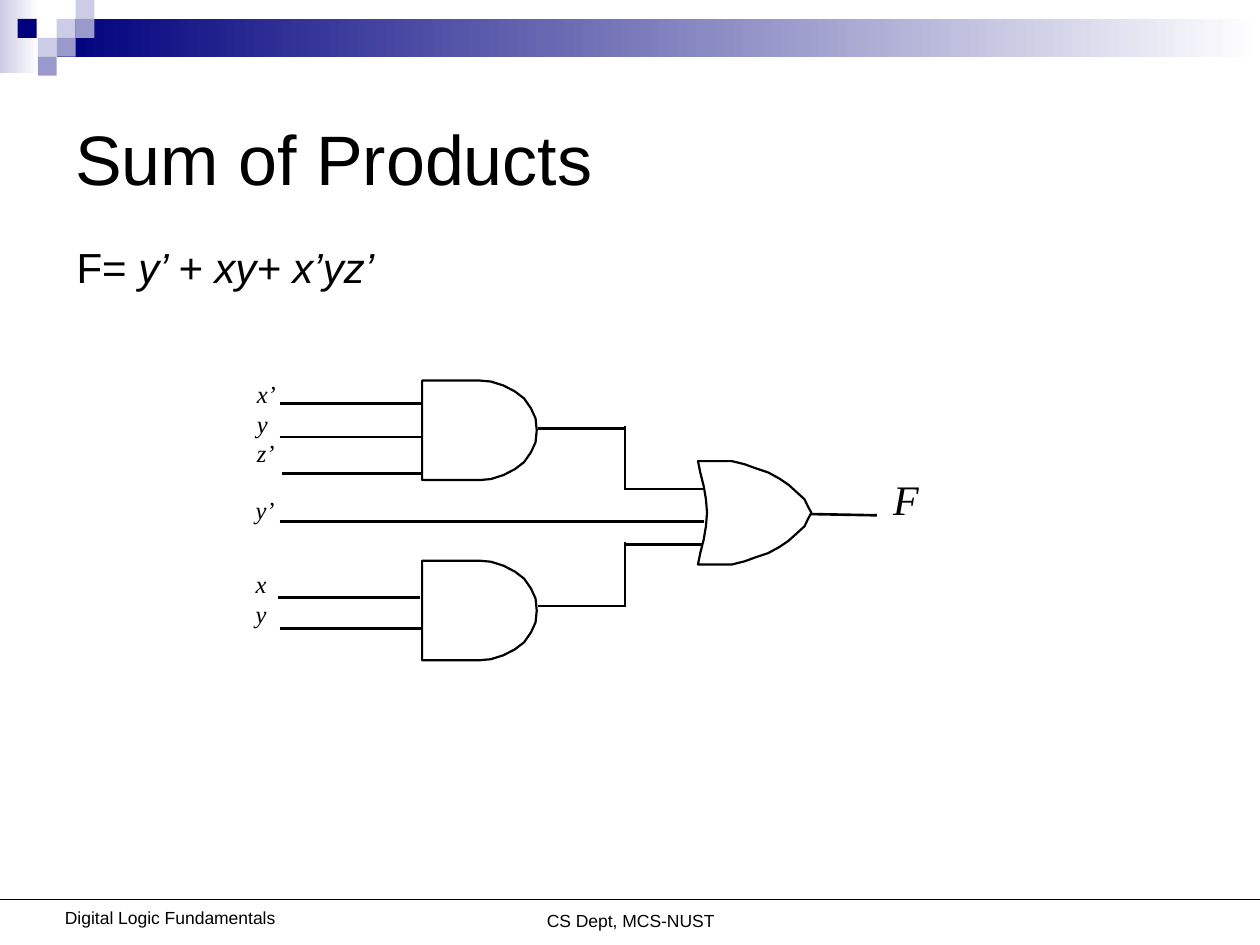
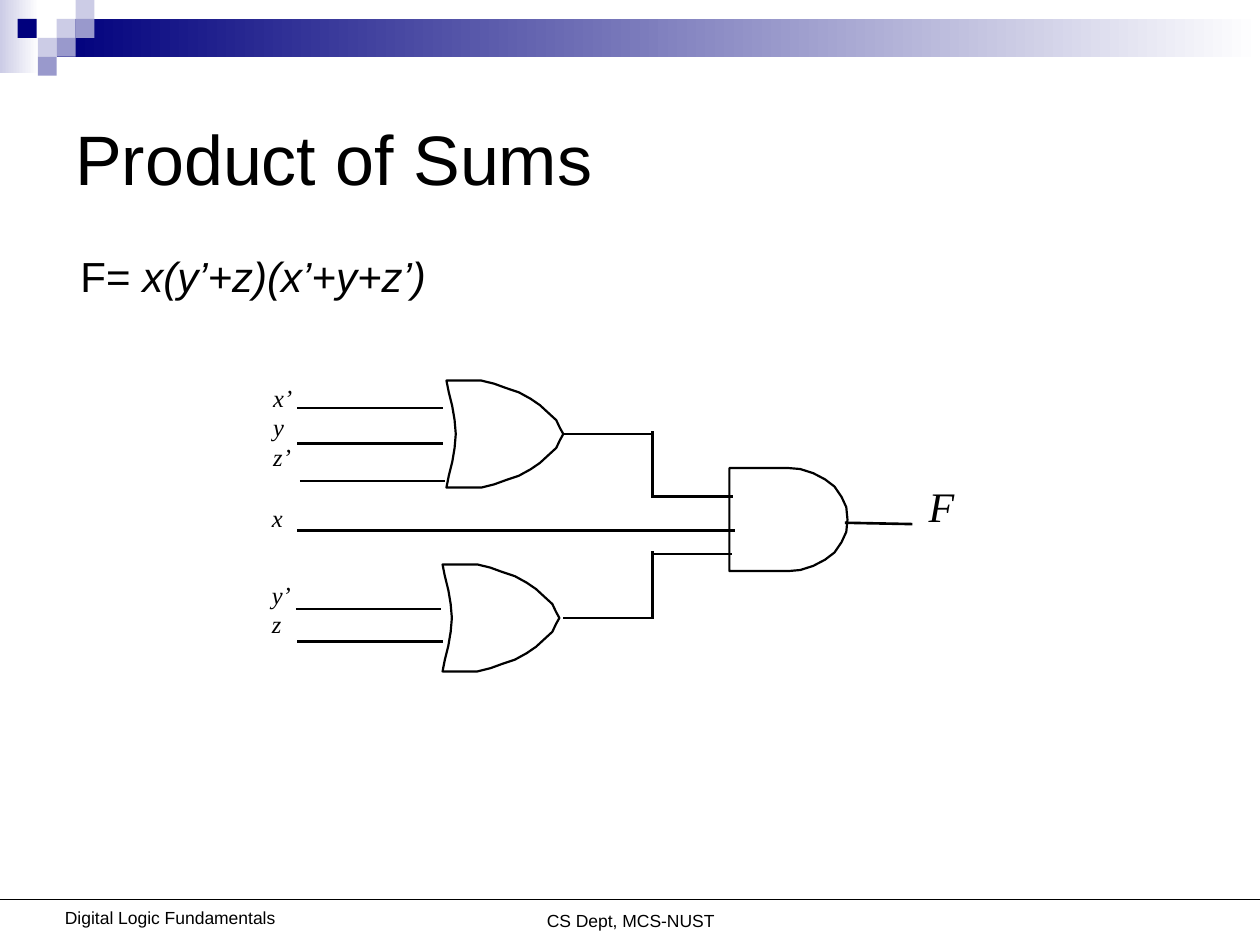
import pptx
import pptx.dml.color
import pptx.enum.shapes
import pptx.enum.text
import pptx.oxml.ns
import pptx.util
from lxml import etree

Inches = pptx.util.Inches
Pt = pptx.util.Pt
ALIGN = pptx.enum.text.PP_ALIGN
ANCHOR = pptx.enum.text.MSO_ANCHOR

COLORS = {"navy": "00007D", "violet": "9999CC", "lavender": "CCCCE6",
          "paper": "FFFFFF", "ink": "000000"}

# Upper halves of the gate outlines, as fractions of the gate's box
AND_HALF = [(0, 0), (0.5, 0), (0.6, 0.01), (0.71, 0.05), (0.81, 0.11),
            (0.89, 0.18), (0.95, 0.28), (0.99, 0.38), (1, 0.5)]
OR_HALF = [(0.08, 0.5), (0.07, 0.37), (0.05, 0.24), (0.02, 0.11), (0, 0),
           (0.3, 0), (0.41, 0.03), (0.51, 0.07), (0.62, 0.11), (0.72, 0.17),
           (0.8, 0.23), (0.87, 0.3), (0.94, 0.37), (0.97, 0.44), (1, 0.5)]
GATES = {"and": (AND_HALF, 0.91, 0.79), "or": (OR_HALF, 0.9, 0.82)}

# Wires as x1, y1, x2, y2 in inches from the circuit's corner, before scaling
INPUT_LENGTH = 1.12
INPUT_STARTS = [(0.29, 0.24), (0.29, 0.51), (0.31, 0.8), (0.28, 1.78), (0.29, 2.03)]
WIRES = [(x, y, x + INPUT_LENGTH, y) for x, y in INPUT_STARTS] + [
    (0.29, 1.18, 3.66, 1.18),                                # direct input
    (2.34, 0.44, 3.04, 0.44), (3.03, 0.42, 3.03, 0.93),      # upper elbow
    (3.04, 0.92, 3.65, 0.92),
    (2.34, 1.85, 3.04, 1.85), (3.03, 1.34, 3.03, 1.85),      # lower elbow
    (3.04, 1.36, 3.64, 1.36),
    (4.51, 1.12, 5.03, 1.13),                                # output
]
LABEL_PLACES = [(0.01, 0, 0.8), (0, 0.92, 0.34), (0, 1.51, 0.57)]
OUTPUT_PLACE = (5.06, 0.75)


def rgb(name):
    return pptx.dml.color.RGBColor.from_string(COLORS[name])


def add_text(slide, box, lines, size, font="Arial", italic=False,
             align=ALIGN.LEFT, anchor=ANCHOR.TOP):
    shape = slide.shapes.add_textbox(*map(Inches, box))
    text_frame = shape.text_frame
    text_frame.word_wrap = True
    text_frame.vertical_anchor = anchor
    text_frame.text = "\n".join(lines)
    for paragraph in text_frame.paragraphs:
        paragraph.alignment = align
        paragraph.font.size = Pt(size)
        paragraph.font.name = font
        paragraph.font.italic = italic
        paragraph.font.color.rgb = rgb("ink")
    return text_frame


def add_line(slide, start_x, start_y, end_x, end_y, width):
    connector = slide.shapes.add_connector(
        pptx.enum.shapes.MSO_CONNECTOR.STRAIGHT,
        *map(Inches, (start_x, start_y, end_x, end_y)))
    connector.line.color.rgb = rgb("ink")
    connector.line.width = Pt(width)
    properties = connector._element.spPr
    etree.SubElement(properties, pptx.oxml.ns.qn("a:effectLst"))


def add_block(slide, box, color, fades=False):
    shape = slide.shapes.add_shape(
        pptx.enum.shapes.MSO_SHAPE.RECTANGLE, *map(Inches, box))
    shape.shadow.inherit = False
    shape.line.fill.background()
    if fades:
        shape.fill.gradient()
        shape.fill.gradient_angle = 0
        for stop, name, position in zip(shape.fill.gradient_stops, (color, "paper"), (0, 1)):
            stop.color.rgb = rgb(name)
            stop.position = position
    else:
        shape.fill.solid()
        shape.fill.fore_color.rgb = rgb(color)


def add_header(slide):
    add_block(slide, (0, 0, 0.31, 0.58), "lavender", fades=True)
    add_block(slide, (0.45, 0.15, 9.55, 0.3), "navy", fades=True)
    # Checkered squares
    side = 0.15
    for left, top, color in [(0.45, 0.15, "lavender"), (0.6, 0, "lavender"),
                             (0.6, 0.15, "violet"), (0.3, 0.3, "lavender"),
                             (0.14, 0.15, "navy"), (0.45, 0.3, "violet"),
                             (0.3, 0.45, "violet")]:
        add_block(slide, (left, top, side, side), color)


def add_footer(slide):
    add_text(slide, (2.92, 7.17, 4.17, 0.26), ["CS Dept, MCS-NUST"], 10, align=ALIGN.CENTER)
    add_text(slide, (0.35, 7.15, 2, 0.26), ["Digital Logic Fundamentals"], 10,
             align=ALIGN.CENTER)
    add_line(slide, 0, 7.14, 10, 7.14, 0.75)


def add_formula(slide, left, top, expression):
    text_frame = add_text(slide, (left, top, 9, 0.5), ["F= "], 24)
    run = text_frame.paragraphs[0].add_run()
    run.text = expression
    run.font.italic = True


def add_gate(slide, kind, left, top, scale_x, scale_y):
    half, width, height = GATES[kind]
    mirrored = [(x, 1 - y) for x, y in reversed(half)]
    points = [(Inches(left + x * width * scale_x), Inches(top + y * height * scale_y))
              for x, y in half + mirrored[1:]]
    builder = slide.shapes.build_freeform(*points[0])
    builder.add_line_segments(points[1:], close=True)
    shape = builder.convert_to_shape()
    shape.shadow.inherit = False
    shape.fill.solid()
    shape.fill.fore_color.rgb = rgb("paper")
    shape.line.color.rgb = rgb("ink")
    shape.line.width = Pt(1.25)


def add_circuit(slide, left, top, scale_x, scale_y, gates, labels):
    def place(x, y):
        return left + x * scale_x, top + y * scale_y

    for kind, x, y in gates:
        add_gate(slide, kind, *place(x, y), scale_x, scale_y)
    for start_x, start_y, end_x, end_y in WIRES:
        add_line(slide, *place(start_x, start_y), *place(end_x, end_y), 1.5)
    # Input and output names
    for (x, y, height), names in zip(LABEL_PLACES, labels):
        add_text(slide, (*place(x, y), 0.56, height), names, 14, "Times New Roman", True)
    add_text(slide, (*place(*OUTPUT_PLACE), 0.45, 0.5), ["F"], 24, "Times New Roman", True)


def add_circuit_slide(presentation, title, formula, circuit):
    slide = presentation.slides.add_slide(presentation.slide_layouts[6])
    add_header(slide)
    add_footer(slide)
    add_text(slide, (0.5, 0.5, 9, 1.5), [title], 40, anchor=ANCHOR.MIDDLE)
    add_formula(slide, *formula)
    add_circuit(slide, **circuit)


def main():
    presentation = pptx.Presentation()
    presentation.slide_width = Inches(10)
    presentation.slide_height = Inches(7.5)
    add_circuit_slide(
        presentation, "Sum of Products", (0.51, 1.87, "y’ + xy+ x’yz’"),
        dict(left=1.93, top=2.96, scale_x=1, scale_y=1,
             gates=[("and", 1.42, 0.06), ("and", 1.42, 1.49), ("or", 3.61, 0.7)],
             labels=[["x’", "y", "z’"], ["y’"], ["x", "y"]]))
    add_circuit_slide(
        presentation, "Product of Sums", (0.54, 1.94, "x(y’+z)(x’+y+z’)"),
        dict(left=2.06, top=2.99, scale_x=1.03, scale_y=1.035,
             gates=[("or", 1.44, 0.03), ("or", 1.41, 1.44), ("and", 3.62, 0.7)],
             labels=[["x’", "y", "z’"], ["x"], ["y’", "z"]]))
    presentation.save("out.pptx")


if __name__ == "__main__":
    main()
